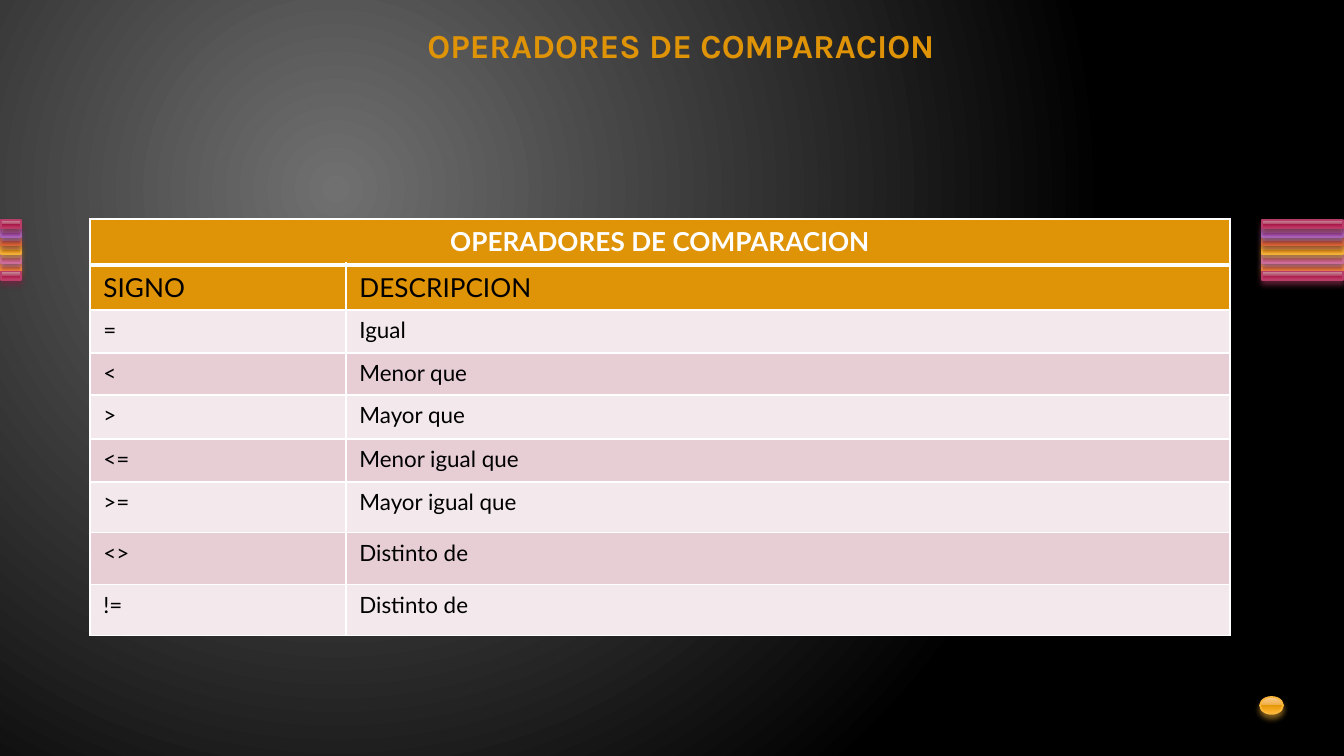
from pptx import Presentation
from pptx.dml.color import RGBColor
from pptx.enum.shapes import MSO_SHAPE
from pptx.enum.text import MSO_ANCHOR, MSO_AUTO_SIZE, PP_ALIGN
from pptx.oxml import parse_xml
from pptx.oxml.ns import nsdecls, qn
from pptx.util import Pt

SCALE = 914400 / 134.4
BLACK = RGBColor(0x00, 0x00, 0x00)
WHITE = RGBColor(0xFF, 0xFF, 0xFF)
GREY = RGBColor(0x70, 0x70, 0x70)
GOLD = RGBColor(0xDF, 0x93, 0x07)
PALE_ROSE = RGBColor(0xF3, 0xE8, 0xEB)
ROSE = RGBColor(0xE6, 0xCE, 0xD4)


def palette(colors):
    """Return five gradient colours, the line colour and the shadow colour."""
    return [RGBColor.from_string(color) for color in colors.split()]


WINE = palette("CE94A2 B34869 A61749 C13764 CA5D7C B83D68 722640")
PURPLE = palette("C6A2D0 A666B4 8F3EA1 AD5DBF BA76CA AC66BB 6A3F73")
RUST = palette("E7A493 D66B42 CC4809 E9642C F07B55 DE6C36 894321")
AMBER = palette("FBCC93 EFAE43 E59807 FFB432 FFBE5F F9B639 9A7023")
PINK = palette("DDA4C1 C66B9D B34181 D361A0 DC79AE CF6DA4 804365")
ORANGE = palette("FBB494 F08745 E5670B FF8736 FF9961 FA8D3D 9A5726")
STRIPES = [WINE, PURPLE, RUST, AMBER, PINK, ORANGE, WINE]
STRIPE_ORDER = [5, 4, 3, 2, 1, 0, 6]
GLOSS_STOPS = [0, 49, 49, 92, 100]

HEADING = "OPERADORES DE COMPARACION"
COLUMN_WIDTHS = [256, 884]
ROW_HEIGHTS = [46, 44, 43, 42, 44, 43, 51, 52, 51]
ROWS = [
    (HEADING, ""),
    ("SIGNO", "DESCRIPCION"),
    ("=", "Igual"),
    ("<", "Menor que"),
    (">", "Mayor que"),
    ("<=", "Menor igual que"),
    (">=", "Mayor igual que"),
    ("<>", "Distinto de"),
    ("!=", "Distinto de"),
]


def px(length):
    """Turn picture pixels into EMU."""
    return round(length * SCALE)


def gradient_xml(stops, direction):
    """Return a gradient fill element from (percent, colour) stops."""
    marks = "".join(
        f'<a:gs pos="{percent * 1000}"><a:srgbClr val="{color}"/></a:gs>'
        for percent, color in stops
    )
    return f'<a:gradFill {nsdecls("a")} rotWithShape="1"><a:gsLst>{marks}</a:gsLst>{direction}</a:gradFill>'


def add_background(slide):
    """Fill the slide with a circular gradient from grey to black."""
    slide.background.fill.solid()
    properties = slide.background.fill._xPr
    circle = (
        '<a:path path="circle"><a:fillToRect l="50000" t="50000" '
        'r="100000" b="100000"/></a:path>'
    )
    fill = parse_xml(gradient_xml([(0, GREY), (100, BLACK)], circle))
    properties.replace(properties[0], fill)


def add_glossy_shape(slide, kind, box, colors):
    """Add a shape with a glossy gradient, a thin line and a soft shadow."""
    *gloss, line_color, shadow_color = colors
    shape = slide.shapes.add_shape(kind, *map(px, box))
    shape.line.color.rgb = line_color
    shape.line.width = Pt(0.9)
    shape.shadow.inherit = False
    properties = shape._element.spPr
    fill = gradient_xml(zip(GLOSS_STOPS, gloss), '<a:lin ang="5400000" scaled="0"/>')
    properties.find(qn("a:prstGeom")).addnext(parse_xml(fill))
    properties.find(qn("a:effectLst")).append(parse_xml(
        f'<a:outerShdw {nsdecls("a")} blurRad="{Pt(3.1)}" dist="{Pt(2)}" '
        f'dir="5400000" rotWithShape="0"><a:srgbClr val="{shadow_color}">'
        '<a:alpha val="83000"/></a:srgbClr></a:outerShdw>'
    ))


def add_stripes(slide, left, top, width, height):
    """Stack the coloured stripes evenly inside the box."""
    pitch = height / len(STRIPES)
    for index in STRIPE_ORDER:
        box = (left, top + index * pitch, width, pitch)
        add_glossy_shape(slide, MSO_SHAPE.RECTANGLE, box, STRIPES[index])


def add_run(paragraph, text, font_name, size, color, bold):
    """Append one formatted run to the paragraph."""
    run = paragraph.add_run()
    run.text = text
    run.font.name = font_name
    run.font.size = Pt(size)
    run.font.color.rgb = color
    run.font.bold = bold


def place_title(slide, left, top, width, height):
    """Move the title placeholder into the box and write the heading."""
    title = slide.shapes.title
    title.left, title.top, title.width, title.height = map(px, (left, top, width, height))
    frame = title.text_frame
    frame.word_wrap = True
    frame.auto_size = MSO_AUTO_SIZE.NONE
    frame.vertical_anchor = MSO_ANCHOR.MIDDLE
    paragraph = frame.paragraphs[0]
    paragraph.alignment = PP_ALIGN.CENTER
    add_run(paragraph, HEADING, "Karla", 18, GOLD, True)


def set_borders(cell, top_width, bottom_width):
    """Draw white borders on the four sides of the cell."""
    properties = cell._tc.get_or_add_tcPr()
    sides = [("L", 1), ("R", 1), ("T", top_width), ("B", bottom_width)]
    for position, (side, width) in enumerate(sides):
        properties.insert(position, parse_xml(
            f'<a:ln{side} {nsdecls("a")} w="{Pt(width)}"><a:solidFill>'
            f'<a:srgbClr val="{WHITE}"/></a:solidFill></a:ln{side}>'
        ))


def add_operator_table(slide, left, top):
    """Add the table of operators with its top left corner at the point."""
    size = sum(COLUMN_WIDTHS), sum(ROW_HEIGHTS)
    frame = slide.shapes.add_table(
        len(ROWS), len(COLUMN_WIDTHS), *map(px, (left, top, *size))
    )
    table = frame.table
    for column, width in zip(table.columns, COLUMN_WIDTHS):
        column.width = px(width)
    for index, (texts, height) in enumerate(zip(ROWS, ROW_HEIGHTS)):
        table.rows[index].height = px(height)
        is_heading = index == 0
        band = ROSE if index % 2 else PALE_ROSE
        for column_index, text in enumerate(texts):
            cell = table.cell(index, column_index)
            cell.fill.solid()
            cell.fill.fore_color.rgb = GOLD if index < 2 else band
            set_borders(cell, 3 if index == 1 else 1, 3 if is_heading else 1)
            if text:
                paragraph = cell.text_frame.paragraphs[0]
                paragraph.alignment = PP_ALIGN.CENTER if is_heading else PP_ALIGN.LEFT
                color = WHITE if is_heading else BLACK
                add_run(paragraph, text, "Lato", 14 if index < 2 else 12, color, is_heading)
    table.cell(0, 0).merge(table.cell(0, 1))


def build_slide(presentation):
    """Build the slide of comparison operators."""
    slide = presentation.slides.add_slide(presentation.slide_layouts[5])
    add_background(slide)
    add_stripes(slide, 1, 220, 20, 60)
    add_stripes(slide, 1262, 220, 81, 60)
    add_glossy_shape(slide, MSO_SHAPE.OVAL, (1260, 697, 23, 17), AMBER)
    place_title(slide, 132, 19, 1098, 53)
    add_operator_table(slide, 90, 219)


presentation = Presentation()
presentation.slide_width = px(1344)
presentation.slide_height = px(756)
build_slide(presentation)
presentation.save("out.pptx")
